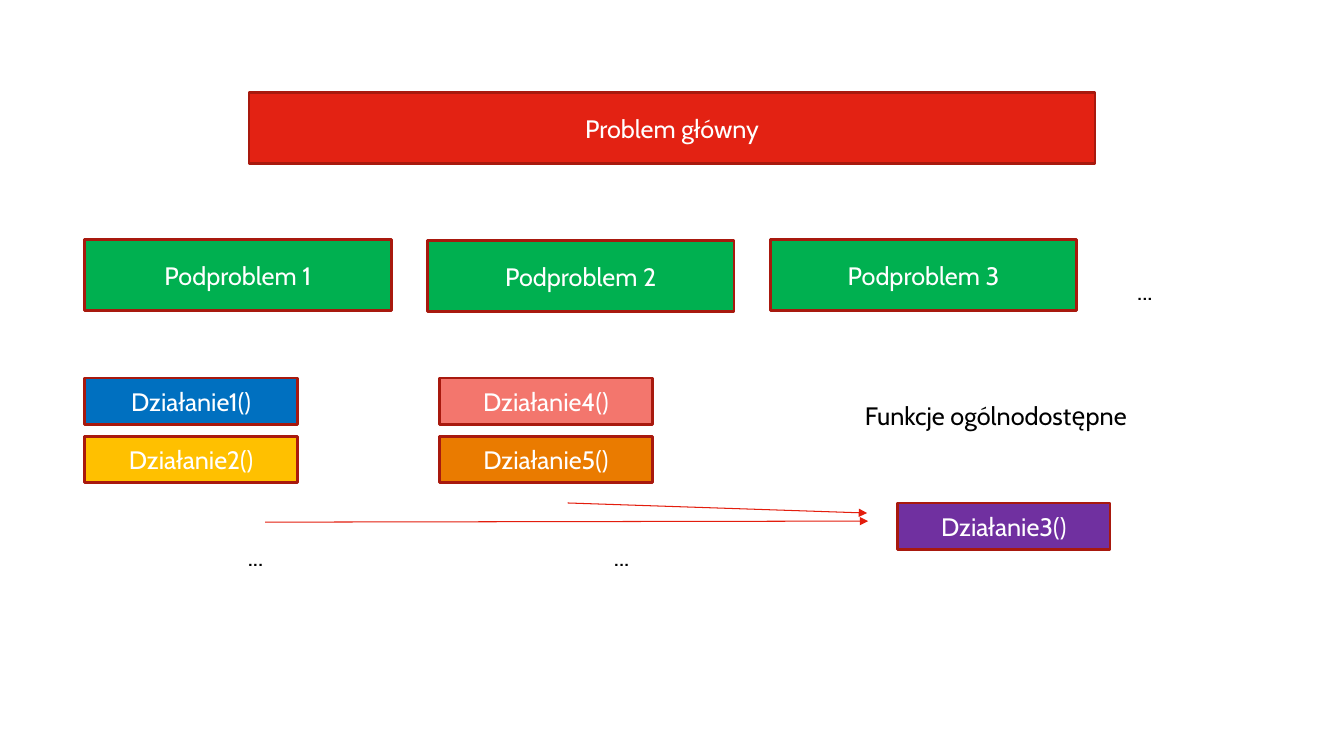
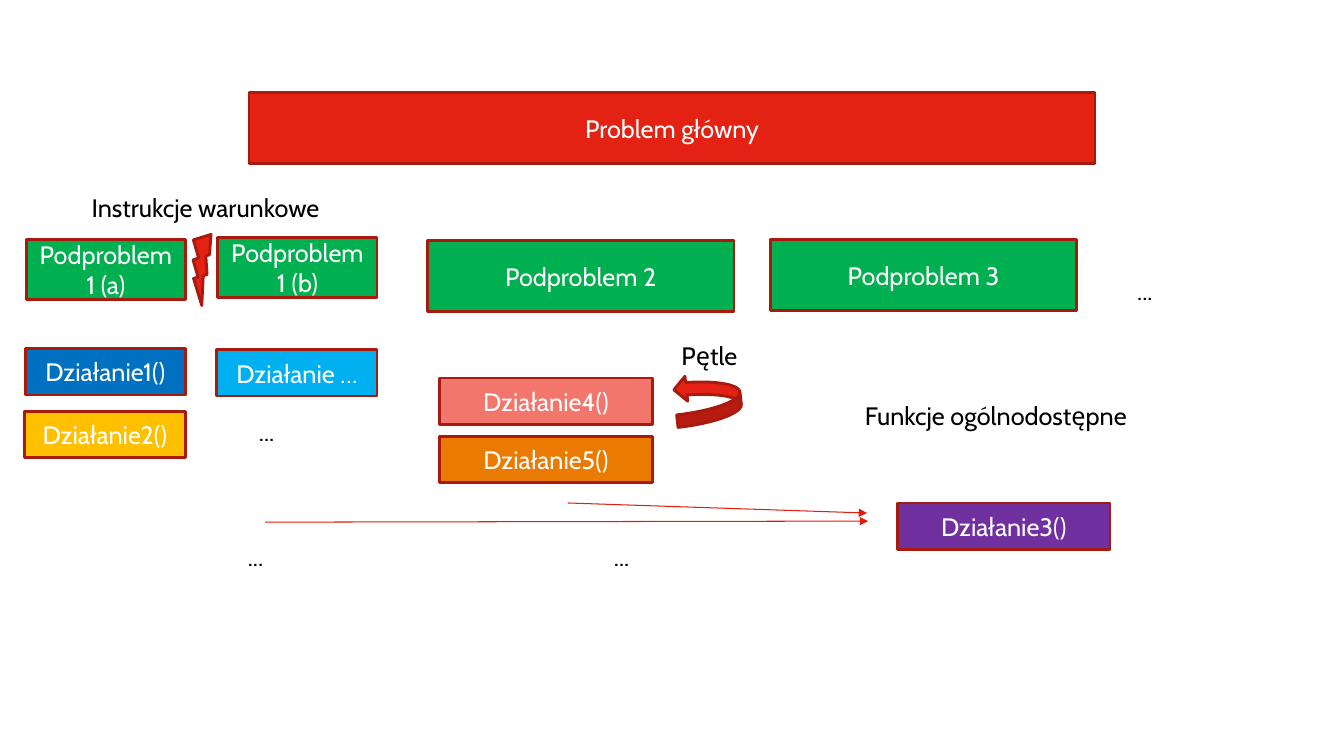
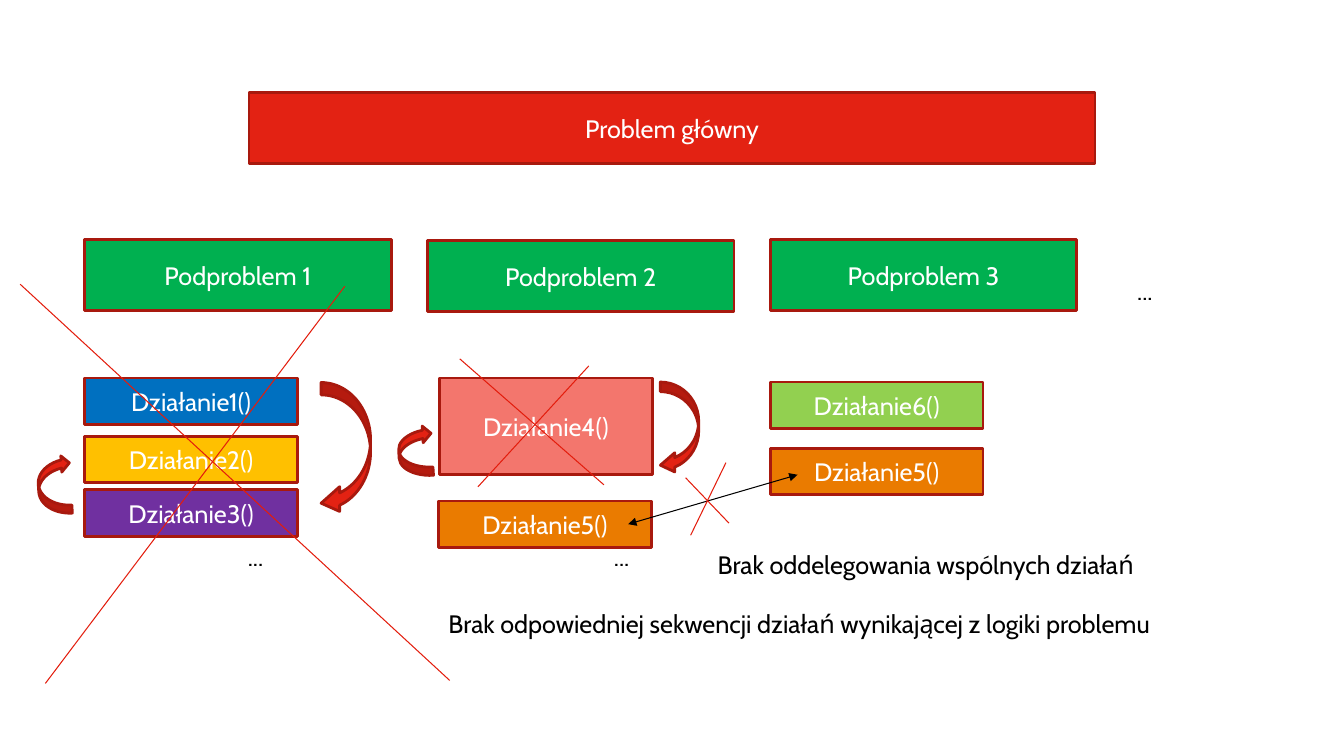
from collections.abc import Iterable
from dataclasses import dataclass

from lxml.etree import SubElement
from pptx import Presentation
from pptx.dml.color import RGBColor
from pptx.enum.shapes import MSO_CONNECTOR as Connector, MSO_SHAPE as Preset
from pptx.enum.text import MSO_ANCHOR as Anchor, MSO_AUTO_SIZE as AutoSize, PP_ALIGN as Align
from pptx.oxml.ns import qn
from pptx.slide import Slide
from pptx.text.text import TextFrame
from pptx.util import Emu, Pt

EMU_PER_PX = 9144


@dataclass(frozen=True)
class Theme:
    font: str = "Cabin"
    text_size: int = 18
    outline_width: float = 2
    line_width: float = 0.75
    white: str = "FFFFFF"
    black: str = "000000"
    outline: str = "A8190E"
    stroke: str = "E31D0D"
    red: str = "E32213"
    green: str = "00B050"
    blue: str = "0070C0"
    sky: str = "00B0F0"
    yellow: str = "FFC000"
    purple: str = "7030A0"
    pink: str = "F3766D"
    orange: str = "EA7B00"
    lime: str = "92D050"


THEME = Theme()


@dataclass(frozen=True)
class Box:
    left: int
    top: int
    width: int
    height: int
    fill: str = THEME.red
    text: str = ""
    preset: Preset = Preset.RECTANGLE
    rotation: float = 0
    adjustments: tuple[float, ...] = ()


@dataclass(frozen=True)
class Label:
    left: int
    top: int
    width: int
    text: str = "..."
    wrap: bool = False
    height: int = 40


@dataclass(frozen=True)
class Line:
    start: tuple[int, int]
    end: tuple[int, int]
    color: str = THEME.stroke
    start_arrow: bool = False
    end_arrow: bool = False


Item = Box | Label | Line


def px(length: int) -> Emu:
    return Emu(length * EMU_PER_PX)


def rgb(color: str) -> RGBColor:
    return RGBColor.from_string(color)


def write_text(frame: TextFrame, text: str, *, color: str = THEME.black,
               align: Align = Align.LEFT, anchor: Anchor = Anchor.TOP,
               wrap: bool = True) -> None:
    frame.word_wrap = wrap
    frame.vertical_anchor = anchor
    para = frame.paragraphs[0]
    para.alignment = align
    span = para.add_run()
    span.text = text
    span.font.name = THEME.font
    span.font.size = Pt(THEME.text_size)
    span.font.color.rgb = rgb(color)


def draw_box(page: Slide, box: Box) -> None:
    shape = page.shapes.add_shape(
        box.preset, px(box.left), px(box.top), px(box.width), px(box.height))
    shape.shadow.inherit = False
    shape.rotation = box.rotation
    for index, value in enumerate(box.adjustments):
        shape.adjustments[index] = value
    shape.fill.solid()
    shape.fill.fore_color.rgb = rgb(box.fill)
    shape.line.color.rgb = rgb(THEME.outline)
    shape.line.width = Pt(THEME.outline_width)
    if box.text:
        write_text(shape.text_frame, box.text, color=THEME.white,
                   align=Align.CENTER, anchor=Anchor.MIDDLE)


def draw_label(page: Slide, label: Label) -> None:
    shape = page.shapes.add_textbox(
        px(label.left), px(label.top), px(label.width), px(label.height))
    write_text(shape.text_frame, label.text, wrap=label.wrap)
    shape.text_frame.auto_size = AutoSize.SHAPE_TO_FIT_TEXT


def draw_line(page: Slide, line: Line) -> None:
    connector = page.shapes.add_connector(
        Connector.STRAIGHT, *map(px, line.start + line.end))
    connector.line.color.rgb = rgb(line.color)
    connector.line.width = Pt(THEME.line_width)
    properties = connector._element.spPr
    outline = properties.find(qn("a:ln"))
    for tag, shown in (("a:headEnd", line.start_arrow), ("a:tailEnd", line.end_arrow)):
        if shown:
            SubElement(outline, qn(tag), type="triangle")
    SubElement(properties, qn("a:effectLst"))


def draw(page: Slide, items: Iterable[Item]) -> None:
    for item in items:
        match item:
            case Box():
                draw_box(page, item)
            case Label():
                draw_label(page, item)
            case Line():
                draw_line(page, item)


def subproblem(left: int, top: int, name: str, width: int = 304, height: int = 70) -> Box:
    return Box(left, top, width, height, THEME.green, f"Podproblem {name}")


def action(left: int, top: int, name: str, fill: str, width: int = 211, height: int = 46) -> Box:
    return Box(left, top, width, height, fill, f"Działanie{name}")


def forward_arrow(left: int, top: int, width: int, height: int) -> Box:
    return Box(left, top, width, height, preset=Preset.CURVED_DOWN_ARROW,
               rotation=90, adjustments=(0.25, 0.5, 0.374))


def back_arrow(left: int, top: int, width: int, height: int) -> Box:
    return Box(left, top, width, height, preset=Preset.CURVED_DOWN_ARROW, rotation=266.6)


COMMON = (
    Box(247, 92, 839, 70, THEME.red, "Problem główny"),
    subproblem(424, 239, "2"),
    subproblem(764, 238, "3"),
    Label(1118, 268, 48),
    Label(236, 532, 48, wrap=True),
    Label(599, 532, 48, wrap=True),
)
FIRST_BRANCH = (
    subproblem(84, 238, "1"),
    action(84, 375, "1()", THEME.blue),
    action(84, 433, "2()", THEME.yellow),
)
SHARED_FUNCTIONS = (
    action(436, 375, "4()", THEME.pink),
    action(436, 433, "5()", THEME.orange),
    action(890, 499, "3()", THEME.purple),
    Label(848, 392, 295, "Funkcje ogólnodostępne"),
    Line((263, 518), (861, 517), end_arrow=True),
    Line((563, 499), (860, 509), end_arrow=True),
)
CONDITIONS_AND_LOOPS = (
    subproblem(26, 238, "1 (a)", 158, 59),
    subproblem(216, 236, "1 (b)", 158, 59),
    action(25, 346, "1()", THEME.blue, 159),
    action(24, 408, "2()", THEME.yellow, 160),
    action(215, 347, " …", THEME.sky, 159),
    Label(247, 408, 48, wrap=True),
    Box(181, 231, 35, 68, preset=Preset.LIGHTNING_BOLT, rotation=24.8),
    Label(81, 186, 269, "Instrukcje warunkowe"),
    Box(677, 363, 50, 65, preset=Preset.CURVED_UP_ARROW, rotation=263.6),
    Label(666, 333, 79, "Pętle"),
)
MISTAKES = (
    action(84, 486, "3()", THEME.purple),
    action(436, 375, "4()", THEME.pink, height=96),
    action(435, 497, "5()", THEME.orange),
    action(764, 379, "6()", THEME.lime),
    action(764, 445, "5()", THEME.orange),
    forward_arrow(277, 421, 132, 49),
    back_arrow(25, 465, 58, 32),
    forward_arrow(628, 406, 92, 38),
    back_arrow(387, 431, 50, 33),
    Line((20, 282), (446, 675)),
    Line((45, 678), (342, 284)),
    Line((456, 356), (599, 481)),
    Line((474, 483), (584, 363)),
    Line((623, 520), (791, 471), THEME.black, start_arrow=True, end_arrow=True),
    Line((680, 474), (723, 519)),
    Line((720, 459), (685, 531)),
    Label(435, 599, 794, "Brak odpowiedniej sekwencji działań wynikającej z logiki problemu"),
    Label(702, 540, 514, "Brak oddelegowania wspólnych działań", wrap=True),
)
PAGES = (
    FIRST_BRANCH + SHARED_FUNCTIONS,
    SHARED_FUNCTIONS + CONDITIONS_AND_LOOPS,
    FIRST_BRANCH + MISTAKES,
)


def main() -> None:
    deck = Presentation()
    deck.slide_width, deck.slide_height = px(1333), px(750)
    blank = deck.slide_layouts.get_by_name("Blank")
    for items in PAGES:
        draw(deck.slides.add_slide(blank), COMMON + items)
    deck.save("out.pptx")


if __name__ == "__main__":
    main()
